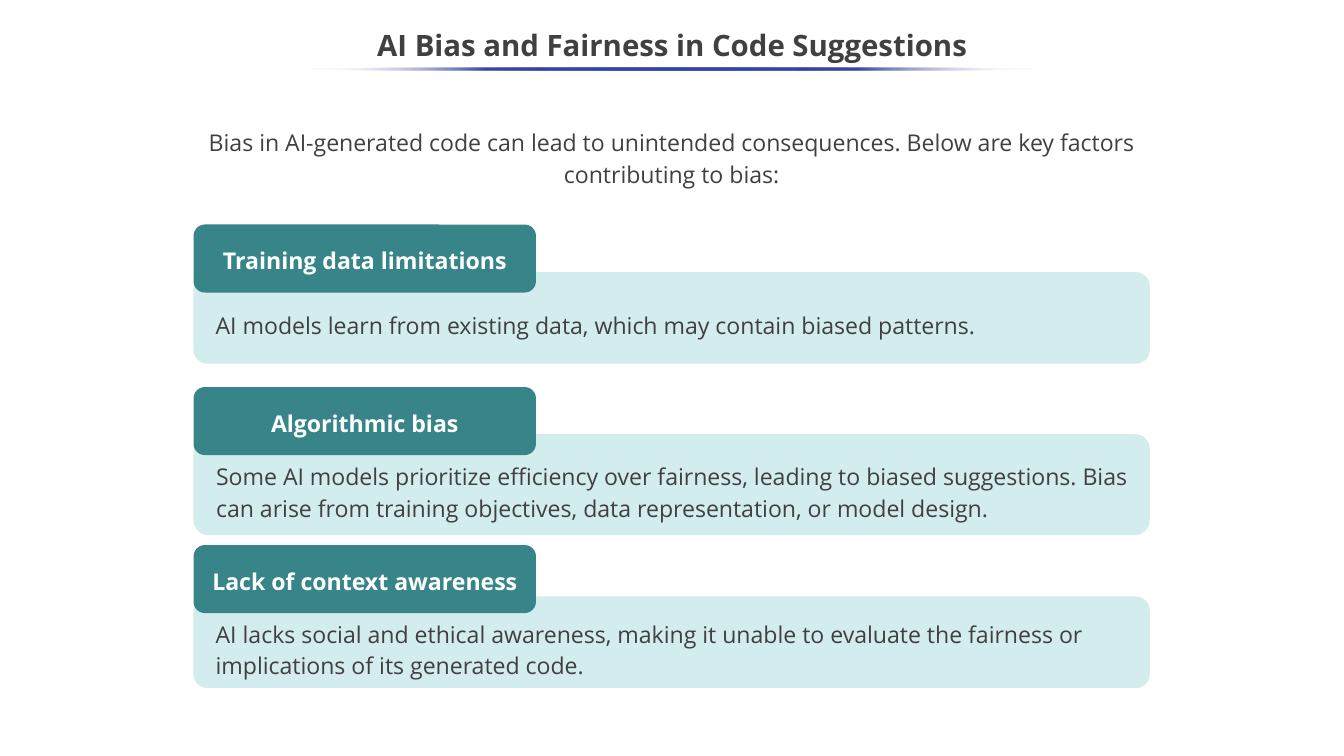
import pptx
import pptx.dml.color
import pptx.enum.shapes
import pptx.enum.text
import pptx.oxml
import pptx.oxml.ns
import pptx.util
import lxml.etree

Inches = pptx.util.Inches
Align = pptx.enum.text.PP_ALIGN
Anchor = pptx.enum.text.MSO_ANCHOR
Shape = pptx.enum.shapes.MSO_SHAPE

COLORS = {
    "text": "404040",
    "white": "FFFFFF",
    "panel": "D3ECED",
    "label": "378589",
    "rule": "3645A9",
}

CARD_LEFT = 14.4
PANEL_WIDTH = 71.15
LABEL_WIDTH = 25.48
LABEL_HEIGHT = 9

CARDS = [
    (29.7, 36, 12.1, "Training data limitations",
     "AI models learn from existing data, which may contain biased patterns."),
    (51.2, 57.4, 13.4, "Algorithmic bias",
     "Some AI models prioritize efficiency over fairness, leading to biased suggestions. "
     "Bias can arise from training objectives, data representation, or model design."),
    (72.1, 78.9, 12.1, "Lack of context awareness",
     "AI lacks social and ethical awareness, making it unable to evaluate the fairness "
     "or implications of its generated code."),
]


class SlideBuilder:
    font = "Open Sans"
    body_size = 22
    title_size = 28

    def __init__(self, presentation):
        self.column = presentation.slide_width / 100
        self.row = presentation.slide_height / 100
        self.slide = presentation.slides.add_slide(presentation.slide_layouts[1])

    def box(self, left, top, width, height):
        return (round(left * self.column), round(top * self.row),
                round(width * self.column), round(height * self.row))

    def color(self, name):
        return pptx.dml.color.RGBColor.from_string(COLORS[name])

    def add_text(self, shape, text, size, color="text", bold=False, align=Align.CENTER,
                 spacing=1.14, anchor=Anchor.MIDDLE, insets=(0.1, 0.05, 0.1, 0.05)):
        frame = shape.text_frame
        frame.word_wrap = True
        frame.auto_size = pptx.enum.text.MSO_AUTO_SIZE.NONE
        frame.vertical_anchor = anchor
        (frame.margin_left, frame.margin_top,
         frame.margin_right, frame.margin_bottom) = map(Inches, insets)
        paragraph = frame.paragraphs[0]
        paragraph.alignment = align
        paragraph.line_spacing = spacing
        paragraph.space_before = pptx.util.Pt(0)
        run = paragraph.add_run()
        run.text = text
        run.font.name = self.font
        run.font.size = pptx.util.Pt(size)
        run.font.bold = bold
        run.font.color.rgb = self.color(color)
        return paragraph

    def place(self, placeholder, *position):
        (placeholder.left, placeholder.top,
         placeholder.width, placeholder.height) = self.box(*position)

    def title(self, text, *position):
        title = self.slide.shapes.title
        self.place(title, *position)
        self.add_text(title, text, self.title_size, bold=True, spacing=0.9)

    def introduction(self, text, *position):
        body = self.slide.placeholders[1]
        self.place(body, *position)
        paragraph = self.add_text(body, text, self.body_size, spacing=1.15,
                                  anchor=Anchor.TOP, insets=(0.1, 0, 0.1, 0))
        properties = paragraph._p.get_or_add_pPr()
        properties.set("marL", "0")
        properties.set("indent", "0")
        lxml.etree.SubElement(properties, pptx.oxml.ns.qn("a:buNone"))

    def shape(self, kind, *position):
        shape = self.slide.shapes.add_shape(kind, *self.box(*position))
        shape.shadow.inherit = False
        shape.line.fill.background()
        return shape

    def rounded(self, fill, corner, *position):
        shape = self.shape(Shape.ROUNDED_RECTANGLE, *position)
        shape.adjustments[0] = corner
        shape.fill.solid()
        shape.fill.fore_color.rgb = self.color(fill)
        return shape

    def fading_rule(self, *position):
        rule = self.shape(Shape.OVAL, *position)
        rule.fill.gradient()
        rule.fill.gradient_angle = 0
        stops = rule._element.spPr.find(".//" + pptx.oxml.ns.qn("a:gsLst"))
        for stop in list(stops):
            stops.remove(stop)
        for percent in range(0, 101, 25):
            faded = percent in (0, 100)
            stop = lxml.etree.SubElement(stops, pptx.oxml.ns.qn("a:gs"), pos=str(percent * 1000))
            color = lxml.etree.SubElement(stop, pptx.oxml.ns.qn("a:srgbClr"),
                                          val=COLORS["white" if faded else "rule"])
            if faded:
                lxml.etree.SubElement(color, pptx.oxml.ns.qn("a:alpha"), val="0")

    def card(self, label_top, panel_top, panel_height, heading, text):
        panel = self.rounded("panel", 0.15, CARD_LEFT, panel_top, PANEL_WIDTH, panel_height)
        self.add_text(panel, text, self.body_size, align=Align.LEFT,
                      insets=(0.24, 0.2, 0.1, 0.05))
        label = self.rounded("label", 0.167, CARD_LEFT, label_top, LABEL_WIDTH, LABEL_HEIGHT)
        self.add_text(label, heading, self.body_size, color="white", bold=True)


def main():
    presentation = pptx.Presentation()
    presentation.slide_width = Inches(17.78)
    presentation.slide_height = Inches(10)
    builder = SlideBuilder(presentation)
    builder.title("AI Bias and Fairness in Code Suggestions", 0, 2.5, 100, 7.5)
    builder.introduction("Bias in AI-generated code can lead to unintended consequences. "
                         "Below are key factors contributing to bias:", 9.9, 16.5, 80.15, 9.9)
    builder.fading_rule(22.55, 8.9, 54.84, 0.4)
    for card in CARDS:
        builder.card(*card)
    presentation.save("out.pptx")


if __name__ == "__main__":
    main()
